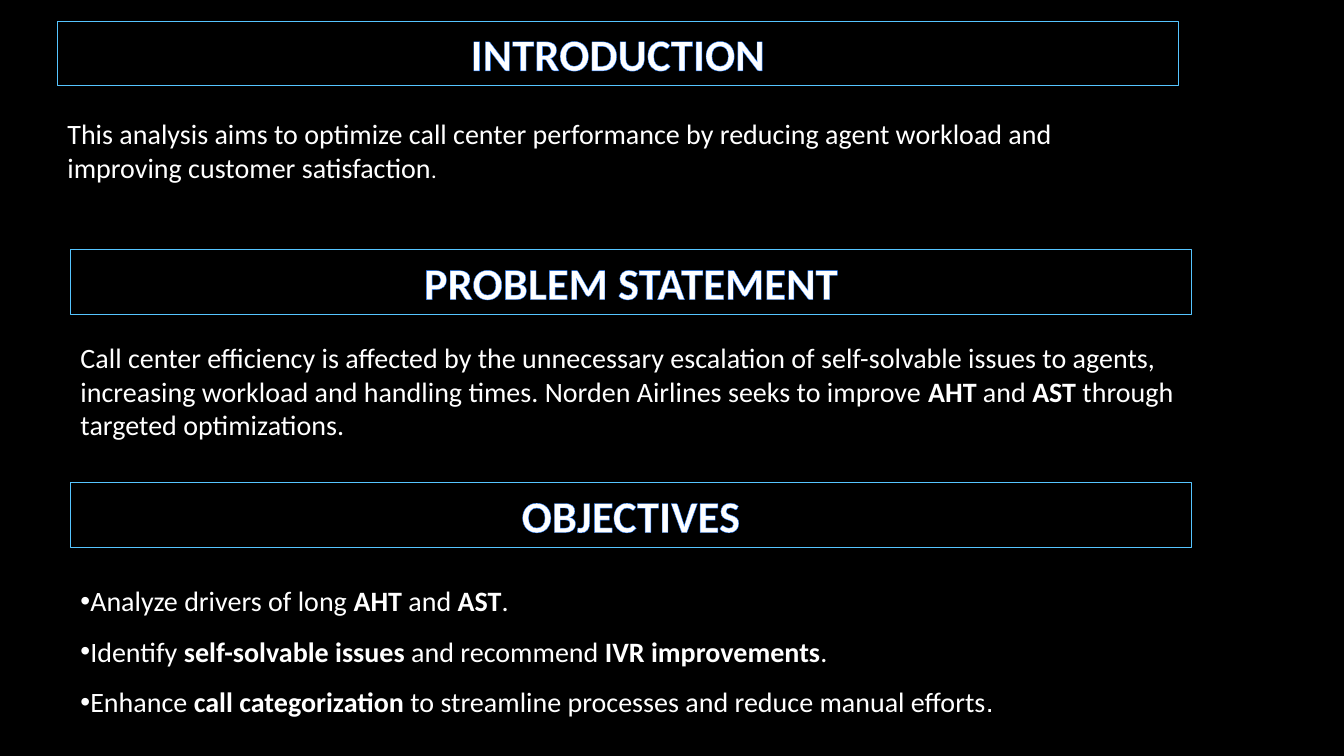
from lxml import etree
from pptx import Presentation, util as u
from pptx.dml.color import RGBColor
from pptx.enum import shapes, text
from pptx.oxml import ns

HUES = {"back": "000000", "ink": "FFFFFF", "frame": "56C5FF", "glow": "1474FF"}
BODY = {"name": "Calibri", "size": u.Pt(20)}
HEAD = {"name": "Calibri", "size": u.Pt(32), "bold": True}
CELL = u.Inches(0.1)
WIDE = 111.2


def hue(key):
    return RGBColor.from_string(HUES[key])


def apply(item, style):
    for key, value in style.items():
        setattr(item, key, value)


class Deck:
    """Places elements on a grid of tenth-inch columns and rows."""

    def __init__(self, cols, rows):
        self.prs = Presentation()
        self.prs.slide_width = int(cols * CELL)
        self.prs.slide_height = int(rows * CELL)
        self.slide = self.prs.slides.add_slide(self.prs.slide_layouts[6])
        fill = self.slide.background.fill
        fill.solid()
        fill.fore_color.rgb = hue("back")

    def area(self, col, row, high):
        return [int(n * CELL) for n in (col, row, WIDE, high)]

    def run(self, para, words, style):
        run = para.add_run()
        run.text = words
        apply(run.font, style)
        run.font.color.rgb = hue("ink")
        return run

    def head(self, words, col, row):
        box = self.slide.shapes.add_shape(
            shapes.MSO_SHAPE.RECTANGLE, *self.area(col, row, 6.4))
        box.shadow.inherit = False
        box.fill.background()
        box.line.color.rgb = hue("frame")
        box.line.width = u.Pt(0.75)
        box.text_frame.vertical_anchor = text.MSO_ANCHOR.TOP
        para = box.text_frame.paragraphs[0]
        para.alignment = text.PP_ALIGN.CENTER
        self.outline(self.run(para, words, HEAD))

    def outline(self, run):
        """Draws a thin coloured edge round the letters."""
        line = etree.Element(ns.qn("a:ln"), w=str(u.Pt(0.75)))
        fill = etree.SubElement(line, ns.qn("a:solidFill"))
        etree.SubElement(fill, ns.qn("a:srgbClr"), val=HUES["glow"])
        run.font._element.insert(0, line)

    def body(self, lines, col, row, high, style, anchor="TOP",
             bullet=False, stop=None):
        """Writes paragraphs with *bold* marks; stop styles a last full stop."""
        box = self.slide.shapes.add_textbox(*self.area(col, row, high))
        frame = box.text_frame
        frame.word_wrap = True
        frame.vertical_anchor = text.MSO_ANCHOR[anchor]
        for i, line in enumerate(lines):
            para = frame.add_paragraph() if i else frame.paragraphs[0]
            apply(para, style)
            if bullet:
                self.bullet(para)
            for k, part in enumerate(line.split("*")):
                self.run(para, part, BODY | {"bold": k % 2 == 1})
        if stop:
            self.run(para, ".", BODY | stop)

    def bullet(self, para):
        props = para._p.get_or_add_pPr()
        apply_xml = {"marL": "0", "indent": "0"}
        for key, value in apply_xml.items():
            props.set(key, value)
        etree.SubElement(props, ns.qn("a:buFont"), typeface="Arial")
        etree.SubElement(props, ns.qn("a:buChar"), char="•")


def main():
    deck = Deck(133.33, 75)
    left, inner = 5.7, 7
    lead = {"space_before": u.Pt(18)}

    deck.head("INTRODUCTION", left, 2.1)
    deck.body(["This analysis aims to optimize call center performance by "
               "reducing agent workload and improving customer satisfaction"],
              left, 11.1, 12.4, lead, stop={"size": u.Pt(16)})

    deck.head("PROBLEM STATEMENT", inner, 24.8)
    deck.body(["Call center efficiency is affected by the unnecessary "
               "escalation of self-solvable issues to agents, increasing "
               "workload and handling times. Norden Airlines seeks to improve "
               "*AHT* and *AST* through targeted optimizations."],
              inner, 33.3, 12.4, lead)

    deck.head("OBJECTIVES", inner, 47.9)
    deck.body(["Analyze drivers of long *AHT* and *AST*.",
               "Identify *self-solvable issues* and recommend "
               "*IVR improvements*.",
               "Enhance *call categorization* to streamline processes and "
               "reduce manual efforts"],
              inner, 56, 15.5, {"line_spacing": 1.5}, anchor="MIDDLE",
              bullet=True, stop={"name": "Arial"})

    deck.prs.save("out.pptx")


if __name__ == "__main__":
    main()
